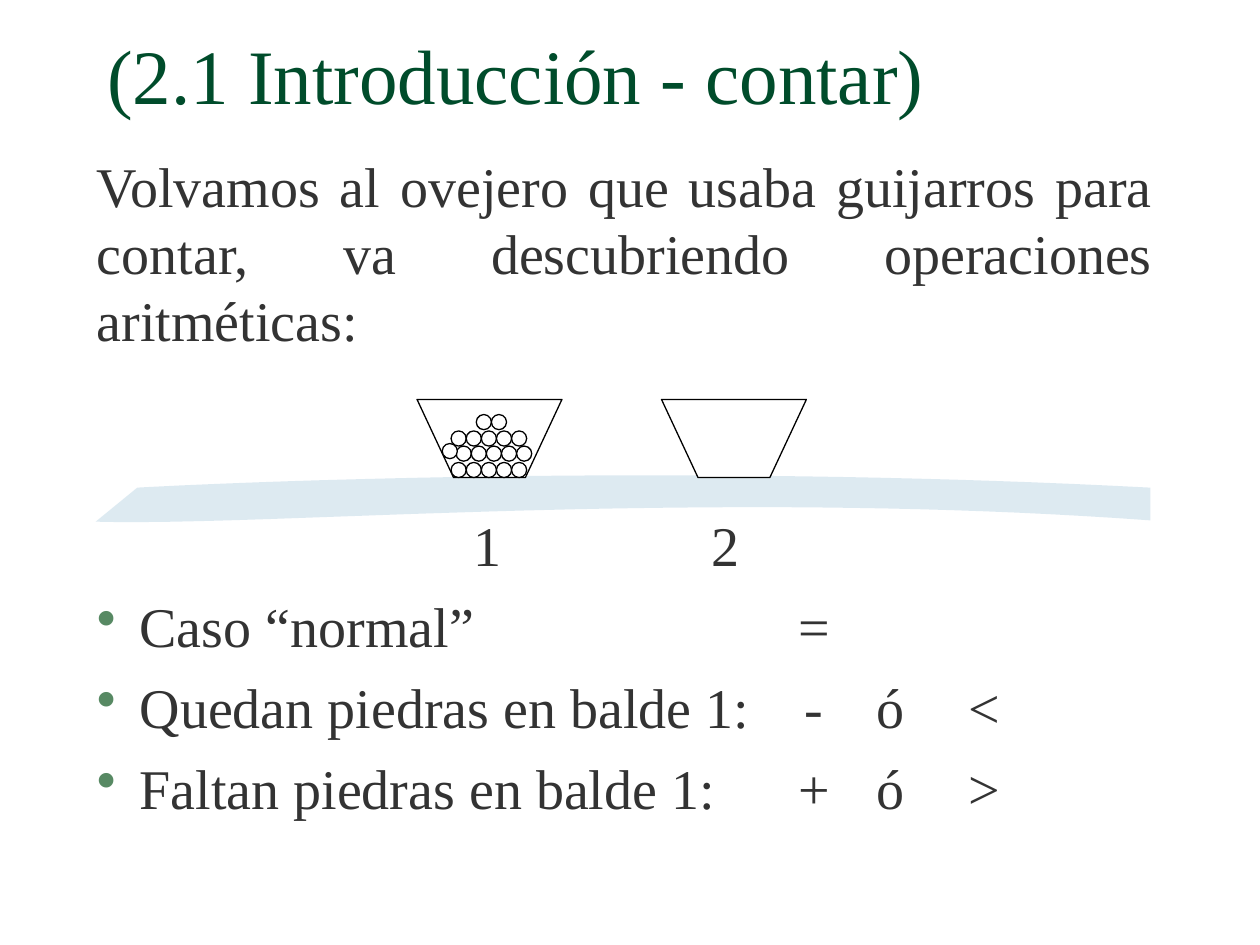
from dataclasses import dataclass

from pptx import Presentation
from pptx import util as u
from pptx.dml.color import RGBColor
from pptx.enum import shapes, text
from pptx.oxml.ns import qn
from lxml import etree

Point = tuple[float, float]


@dataclass(frozen=True)
class Theme:
    font: str = "Times New Roman"
    title_size: int = 44
    body_size: int = 32
    title: str = "004C2B"
    body: str = "333333"
    bullet: str = "578963"
    band: str = "BDD7E5"
    line: str = "000000"
    fill: str = "FFFFFF"
    line_width: float = 0.75


@dataclass(frozen=True)
class PebbleRow:
    left: float
    top: float
    count: int


THEME = Theme()
PEBBLE = 0.12
BUCKET_TOP, BUCKET_BOTTOM = 3.17, 3.79
BUCKET_LEFTS = (3.31, 5.25)
PEBBLE_ROWS = (
    PebbleRow(3.58, 3.67, 5),
    PebbleRow(3.62, 3.54, 5),
    PebbleRow(3.58, 3.42, 5),
    PebbleRow(3.78, 3.29, 2),
    PebbleRow(3.51, 3.52, 1),
)
LABELS = "\t1\t2"
LABEL_TABS = (3.1, 4.99)
CASES = (
    "Caso “normal”\t=",
    "Quedan piedras en balde 1:\t-\tó\t<",
    "Faltan piedras en balde 1:\t+\tó\t>",
)
CASE_TABS = (5.69, 6.3, 7.04)
CASE_INDENT = 0.34


def write(para, words: str, *, size: int = THEME.body_size, color: str = THEME.body,
          align=text.PP_ALIGN.LEFT, before: float = 0) -> None:
    para.alignment = align
    para.space_before = u.Pt(before)
    span = para.add_run()
    span.text = words
    span.font.name = THEME.font
    span.font.size = u.Pt(size)
    span.font.color.rgb = RGBColor.from_string(color)


def set_layout(para, tabs: tuple[float, ...], bulleted: bool = False) -> None:
    """Add centred tab stops and, if asked, a hanging bullet."""
    props = para._p.get_or_add_pPr()
    if bulleted:
        props.set("marL", str(u.Inches(CASE_INDENT)))
        props.set("indent", str(-u.Inches(CASE_INDENT)))
        color = etree.SubElement(props, qn("a:buClr"))
        etree.SubElement(color, qn("a:srgbClr"), val=THEME.bullet)
        etree.SubElement(props, qn("a:buChar"), char="•")
    stops = etree.SubElement(props, qn("a:tabLst"))
    for tab in tabs:
        etree.SubElement(stops, qn("a:tab"), pos=str(u.Inches(tab)), algn="ctr")


def add_box(page, left: float, top: float, width: float, height: float):
    box = page.shapes.add_textbox(*map(u.Inches, (left, top, width, height)))
    box.text_frame.word_wrap = True
    return box.text_frame


def paint(shape, fill: str, line: str | None = None) -> None:
    shape.shadow.inherit = False
    shape.fill.solid()
    shape.fill.fore_color.rgb = RGBColor.from_string(fill)
    if line is None:
        shape.line.fill.background()
    else:
        shape.line.color.rgb = RGBColor.from_string(line)
        shape.line.width = u.Pt(THEME.line_width)


def add_outline(page, points: list[Point]):
    start, *rest = [(u.Inches(x), u.Inches(y)) for x, y in points]
    builder = page.shapes.build_freeform(*start)
    builder.add_line_segments(rest, close=True)
    return builder.convert_to_shape()


def curve(a: Point, b: Point, c: Point, d: Point, steps: int = 40) -> list[Point]:
    """Sample a cubic Bézier curve."""
    points = []
    for step in range(steps + 1):
        t = step / steps
        weights = ((1 - t) ** 3, 3 * t * (1 - t) ** 2, 3 * t * t * (1 - t), t ** 3)
        points.append(tuple(sum(w * p[axis] for w, p in zip(weights, (a, b, c, d)))
                            for axis in (0, 1)))
    return points


def add_band(page) -> None:
    upper = curve((1.09, 3.87), (1.09, 3.87), (4.92, 3.65), (9.13, 3.87))
    lower = curve((9.13, 4.13), (5.56, 3.87), (2.15, 4.18), (0.76, 4.14))
    band = add_outline(page, upper + lower)
    paint(band, THEME.band)
    color = band.fill._xPr.find(qn("a:solidFill"))[0]
    etree.SubElement(color, qn("a:alpha"), val="50000")


def add_bucket(page, left: float) -> None:
    bucket = add_outline(page, [(left, BUCKET_TOP), (left + 0.29, BUCKET_BOTTOM),
                                (left + 0.86, BUCKET_BOTTOM), (left + 1.15, BUCKET_TOP)])
    paint(bucket, THEME.fill, THEME.line)


def add_pebbles(page, row: PebbleRow) -> None:
    for index in range(row.count):
        pebble = page.shapes.add_shape(
            shapes.MSO_SHAPE.FLOWCHART_CONNECTOR, u.Inches(row.left + index * PEBBLE),
            u.Inches(row.top), u.Inches(PEBBLE), u.Inches(PEBBLE))
        paint(pebble, THEME.fill, THEME.line)


def add_title(page) -> None:
    title = page.shapes.title
    title.left, title.top, title.width, title.height = map(u.Inches, (0.75, 0.25, 8.5, 0.75))
    title.text_frame.auto_size = text.MSO_AUTO_SIZE.NONE
    title.text_frame.vertical_anchor = text.MSO_ANCHOR.BOTTOM
    write(title.text_frame.paragraphs[0], "(2.1 Introducción - contar)",
          size=THEME.title_size, color=THEME.title)


def add_cases(page) -> None:
    frame = add_box(page, 0.67, 4, 8.58, 3.5)
    labels = frame.paragraphs[0]
    set_layout(labels, LABEL_TABS)
    write(labels, LABELS)
    for case in CASES:
        para = frame.add_paragraph()
        set_layout(para, CASE_TABS, bulleted=True)
        write(para, case, before=8)


def main() -> None:
    deck = Presentation()
    deck.slide_width, deck.slide_height = u.Inches(10), u.Inches(7.5)
    page = deck.slides.add_slide(deck.slide_layouts[5])
    add_band(page)
    add_title(page)
    add_cases(page)
    for left in BUCKET_LEFTS:
        add_bucket(page, left)
    for row in PEBBLE_ROWS:
        add_pebbles(page, row)
    intro = add_box(page, 0.67, 1.15, 8.58, 1.7)
    write(intro.paragraphs[0], "Volvamos al ovejero que usaba guijarros para contar, "
          "va descubriendo operaciones aritméticas:", align=text.PP_ALIGN.JUSTIFY)
    deck.save("out.pptx")


if __name__ == "__main__":
    main()
